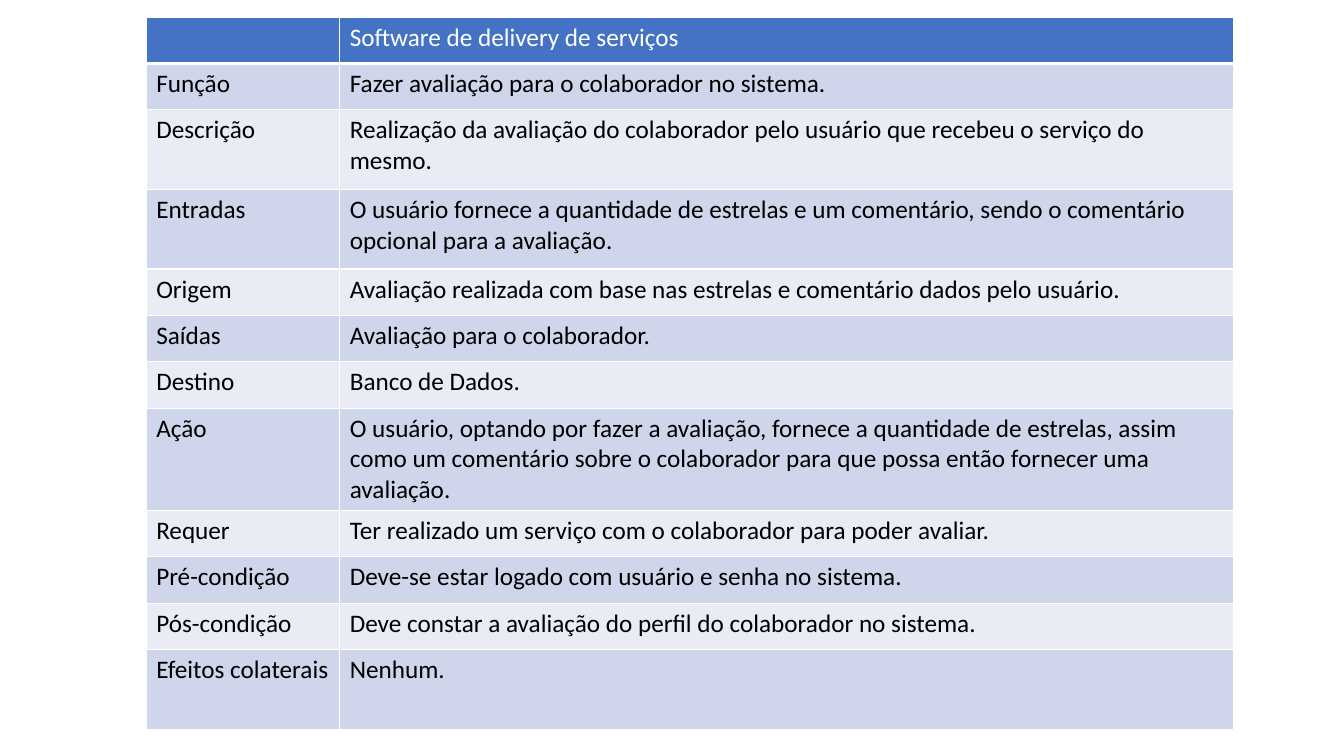
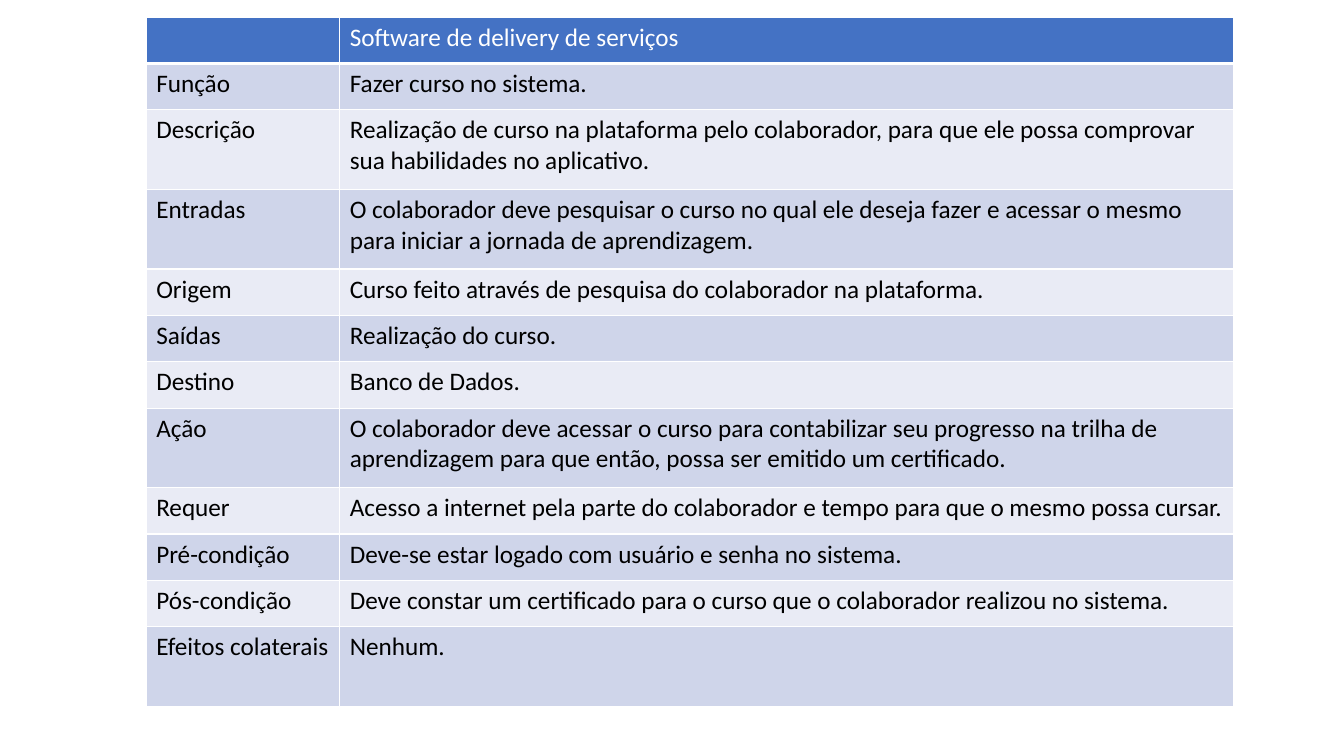
from lxml.etree import SubElement
from pptx import Presentation
from pptx.dml.color import RGBColor
from pptx.oxml.ns import qn
from pptx.util import Inches, Pt

COLORS = {
    "header": "4472C4",
    "dark_band": "CFD5EA",
    "light_band": "E9EBF5",
    "border": "FFFFFF",
    "header_text": "FFFFFF",
    "body_text": "000000",
}
FONT, TEXT_SIZE = "Calibri", 18

# Content shared by both requirement sheets
HEADING = "Software de delivery de serviços"
LABELS = ["Função", "Descrição", "Entradas", "Origem", "Saídas", "Destino", "Ação",
          "Requer", "Pré-condição", "Pós-condição", "Efeitos colaterais"]
TALL_LABELS = {"Descrição", "Entradas", "Ação", "Efeitos colaterais"}

# Values of each sheet, in the order of the labels
SHEETS = [
    [
        "Fazer avaliação para o colaborador no sistema.",
        "Realização da avaliação do colaborador pelo usuário que recebeu o serviço do mesmo.",
        "O usuário fornece a quantidade de estrelas e um comentário, sendo o comentário "
        "opcional para a avaliação.",
        "Avaliação realizada com base nas estrelas e comentário dados pelo usuário.",
        "Avaliação para o colaborador.",
        "Banco de Dados.",
        "O usuário, optando por fazer a avaliação, fornece a quantidade de estrelas, assim "
        "como um comentário sobre o colaborador para que possa então fornecer uma avaliação.",
        "Ter realizado um serviço com o colaborador para poder avaliar.",
        "Deve-se estar logado com usuário e senha no sistema.",
        "Deve constar a avaliação do perfil do colaborador no sistema.",
        "Nenhum.",
    ],
    [
        "Fazer curso no sistema.",
        "Realização de curso na plataforma pelo colaborador, para que ele possa comprovar "
        "sua habilidades no aplicativo.",
        "O colaborador deve pesquisar o curso no qual ele deseja fazer e acessar o mesmo "
        "para iniciar a jornada de aprendizagem.",
        "Curso feito através de pesquisa do colaborador na plataforma.",
        "Realização do curso.",
        "Banco de Dados.",
        "O colaborador deve acessar o curso para contabilizar seu progresso na trilha de "
        "aprendizagem para que então, possa ser emitido um certificado.",
        "Acesso a internet pela parte do colaborador e tempo para que o mesmo possa cursar.",
        "Deve-se estar logado com usuário e senha no sistema.",
        "Deve constar um certificado para o curso que o colaborador realizou no sistema.",
        "Nenhum.",
    ],
]

# Table grid, in inches
LEFT, TOP = 1.45, 0.17
COLUMN_WIDTHS = [1.92, 8.87]
ROW_HEIGHT, TALL_ROW_HEIGHT = 0.46, 0.79


def set_borders(cell, bottom_width):
    properties = cell._tc.get_or_add_tcPr()
    for side, width in (("L", 1), ("R", 1), ("T", 1), ("B", bottom_width)):
        line = SubElement(properties, qn(f"a:ln{side}"), w=str(Pt(width)))
        fill = SubElement(line, qn("a:solidFill"))
        SubElement(fill, qn("a:srgbClr"), val=COLORS["border"])


def style_cell(cell, text, row_index):
    is_header = row_index == 0
    band = "header" if is_header else "dark_band" if row_index % 2 else "light_band"
    set_borders(cell, 3 if is_header else 1)
    cell.fill.solid()
    cell.fill.fore_color.rgb = RGBColor.from_string(COLORS[band])
    cell.text_frame.text = text
    font = cell.text_frame.paragraphs[0].font
    font.name, font.size, font.bold = FONT, Pt(TEXT_SIZE), False
    font.color.rgb = RGBColor.from_string(COLORS["header_text" if is_header else "body_text"])


def add_sheet(deck, values):
    page = deck.slides.add_slide(deck.slide_layouts[6])
    rows = [("", HEADING), *zip(LABELS, values)]
    heights = [TALL_ROW_HEIGHT if label in TALL_LABELS else ROW_HEIGHT for label, _ in rows]
    table = page.shapes.add_table(
        len(rows), len(COLUMN_WIDTHS), Inches(LEFT), Inches(TOP),
        Inches(sum(COLUMN_WIDTHS)), Inches(sum(heights))).table
    for column, width in zip(table.columns, COLUMN_WIDTHS):
        column.width = Inches(width)
    for row_index, (row, height) in enumerate(zip(table.rows, heights)):
        row.height = Inches(height)
        for cell, text in zip(row.cells, rows[row_index]):
            style_cell(cell, text, row_index)


def main():
    deck = Presentation()
    deck.slide_width, deck.slide_height = Inches(13.33), Inches(7.5)
    for values in SHEETS:
        add_sheet(deck, values)
    deck.save("out.pptx")


if __name__ == "__main__":
    main()
